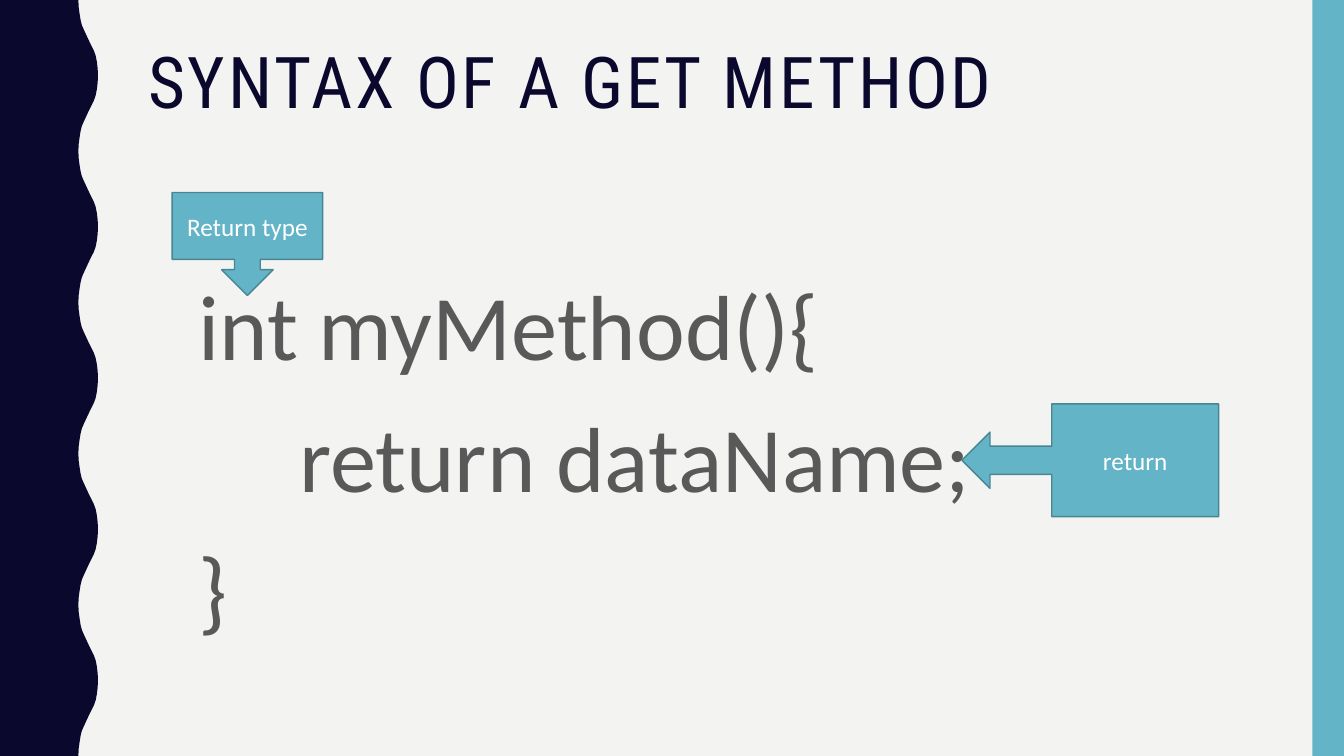
"""Build the slide on the syntax of a get method."""
from dataclasses import dataclass

from pptx import Presentation
from pptx import util as u
from pptx.dml.color import RGBColor
from pptx.enum import shapes, text

Pt = u.Pt


@dataclass(frozen=True)
class Theme:
    paper: str = "F3F3F2"
    navy: str = "0B082E"
    teal: str = "62B4C6"
    teal_edge: str = "498592"
    grey: str = "595959"
    white: str = "FFFFFF"
    heading: str = "Roboto Condensed"
    body: str = "Calibri"
    title_size: int = 51
    code_size: int = 66
    label_size: int = 18


theme = Theme()


def paint(sp, fill, line=None):
    sp.shadow.inherit = False
    sp.fill.solid()
    sp.fill.fore_color.rgb = RGBColor.from_string(fill)
    if line:
        sp.line.color.rgb = RGBColor.from_string(line)
        sp.line.width = Pt(1)
    else:
        sp.line.fill.background()


def style(p, name, size, color):
    p.font.name = name
    p.font.size = Pt(size)
    p.font.color.rgb = RGBColor.from_string(color)


prs = Presentation()
prs.slide_width, prs.slide_height = Pt(960), Pt(540)
s = prs.slides.add_slide(prs.slide_layouts[5])
s.background.fill.solid()
s.background.fill.fore_color.rgb = RGBColor.from_string(theme.paper)

period = 108
half_wave = [(56, 0), (56.2, 5), (56.9, 10), (57.6, 14.4), (58.5, 18),
             (59.8, 21), (61.2, 24), (62.6, 27), (64, 30), (65.5, 33),
             (67, 36), (68.3, 39.6), (69.2, 44), (69.8, 49), (70, 54)]
wave = half_wave + [(x, period - y) for x, y in reversed(half_wave[:-1])]
edge = [(Pt(x), Pt(y + n * period)) for n in range(5) for x, y in wave]
builder = s.shapes.build_freeform(0, 0)
builder.add_line_segments(edge + [(0, Pt(540))], close=True)
paint(builder.convert_to_shape(), theme.navy)

band = s.shapes.add_shape(shapes.MSO_SHAPE.RECTANGLE, Pt(937.5), 0, Pt(22.5), Pt(540))
paint(band, theme.teal)

title = s.shapes.title
title.left, title.top, title.width, title.height = Pt(98.6), Pt(30), Pt(801.4), Pt(117)
tf = title.text_frame
tf.auto_size = text.MSO_AUTO_SIZE.NONE
tf.vertical_anchor = text.MSO_ANCHOR.TOP
p = tf.paragraphs[0]
p.alignment = text.PP_ALIGN.LEFT
p.line_spacing = 0.9
style(p, theme.heading, theme.title_size, theme.navy)
r = p.add_run()
r.text = "SYNTAX OF A GET METHOD"
r.font._element.set("spc", "200")

code = s.shapes.add_textbox(Pt(98.6), Pt(180), Pt(801.4), Pt(283))
tf = code.text_frame
tf.word_wrap = True
code_lines = [("int myMethod(){", 36), ("return dataName;", 108), ("}", 36)]
for i, (line, indent) in enumerate(code_lines):
    p = tf.add_paragraph() if i else tf.paragraphs[0]
    p.text = line
    p.line_spacing = 1.1
    p.space_before = Pt(7)
    p._p.get_or_add_pPr().set("marL", str(Pt(indent)))
    style(p, theme.body, theme.code_size, theme.grey)

callouts = [
    ("Return type", shapes.MSO_SHAPE.DOWN_ARROW_CALLOUT, 123, 137.5, 107.5, 73.5),
    ("return", shapes.MSO_SHAPE.LEFT_ARROW_CALLOUT, 687, 288.5, 183.5, 80.5),
]
for label, kind, left, top, width, height in callouts:
    sp = s.shapes.add_shape(kind, Pt(left), Pt(top), Pt(width), Pt(height))
    paint(sp, theme.teal, theme.teal_edge)
    tf = sp.text_frame
    tf.word_wrap = True
    tf.vertical_anchor = text.MSO_ANCHOR.MIDDLE
    p = tf.paragraphs[0]
    p.text = label
    p.alignment = text.PP_ALIGN.CENTER
    style(p, theme.body, theme.label_size, theme.white)

prs.save("out.pptx")
